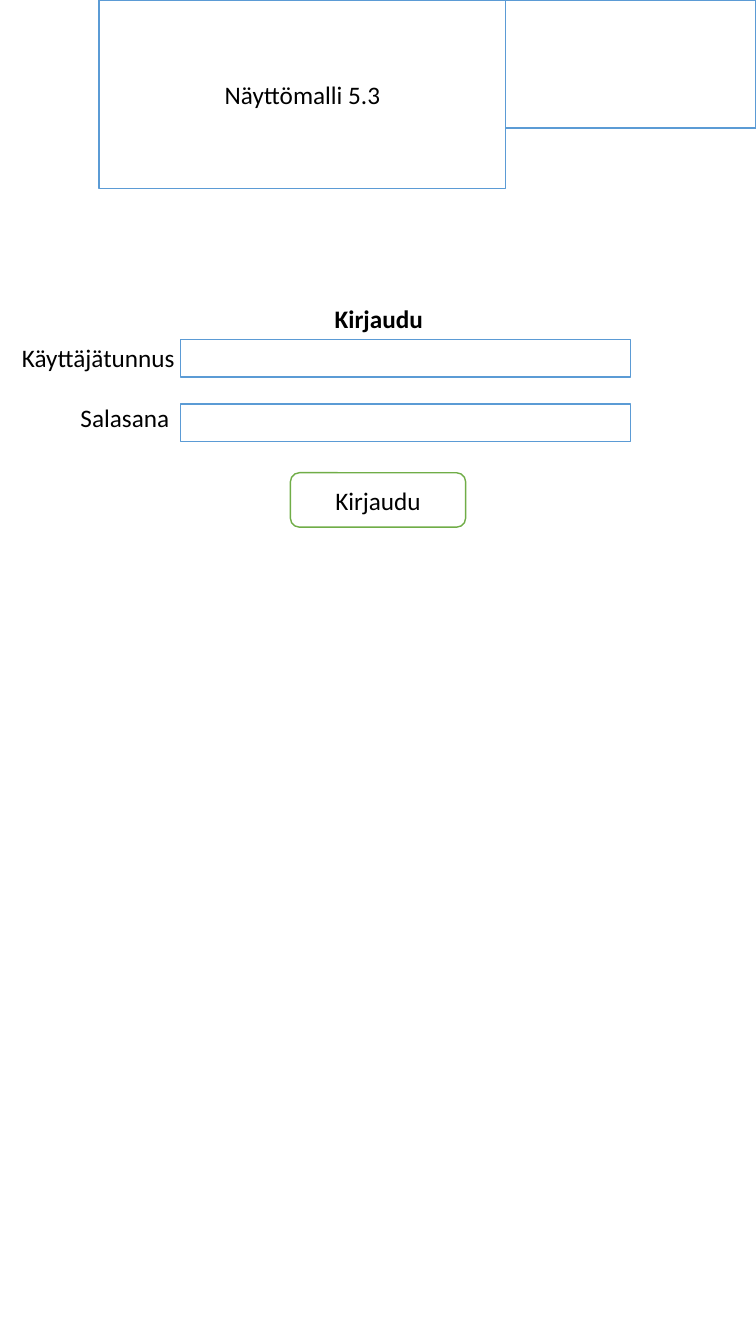
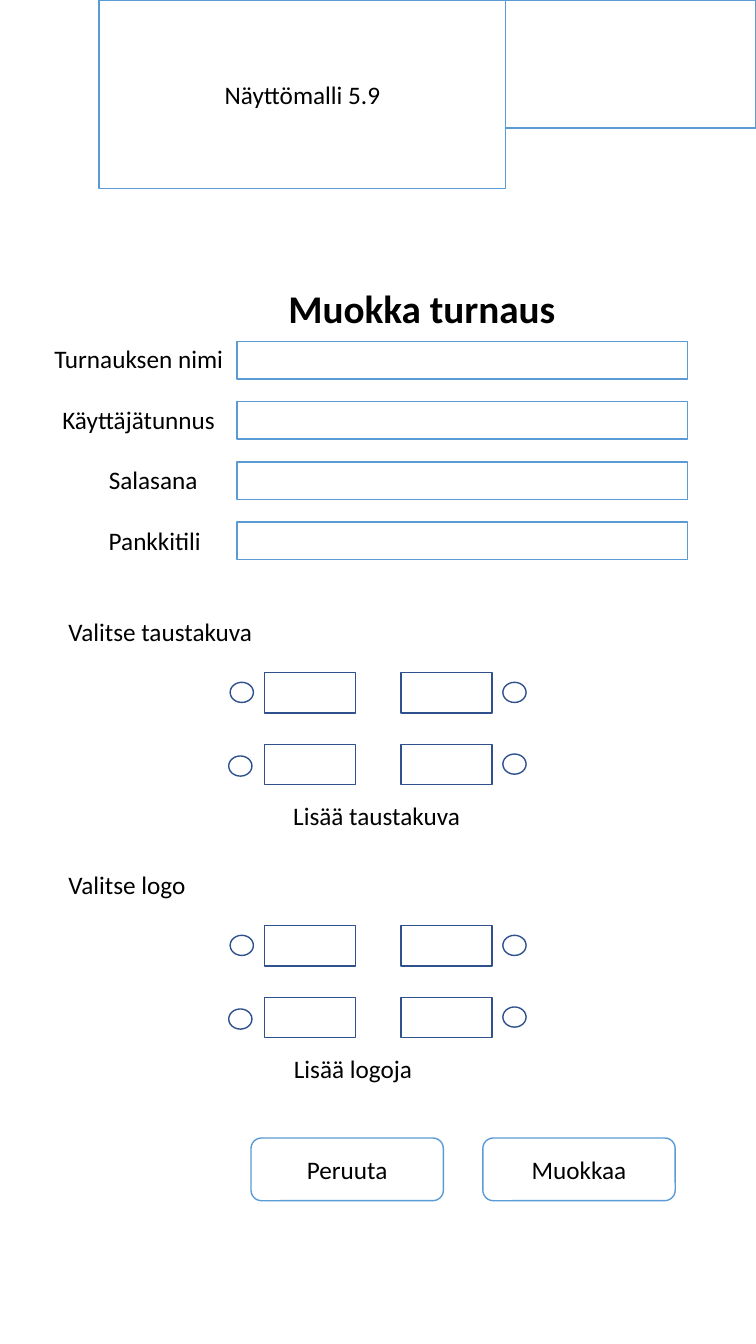
from typing import NamedTuple

from pptx import Presentation
from pptx import util as u
from pptx.dml.color import RGBColor
from pptx.enum import shapes, text
from pptx.shapes.autoshape import Shape
from pptx.slide import Slide

FONT = "Calibri"
TEXT_SIZE = 18
BLACK, WHITE = "000000", "FFFFFF"
BLUE, NAVY, GREEN = "5B9BD5", "2F528F", "70AD47"

RECTANGLE = shapes.MSO_SHAPE.RECTANGLE
ROUNDED = shapes.MSO_SHAPE.ROUNDED_RECTANGLE
OVAL = shapes.MSO_SHAPE.OVAL

PAGE_WIDTH, PAGE_HEIGHT = 540, 960
FIELD_WIDTH, FIELD_HEIGHT = 321.6, 26.8
LABEL_HEIGHT = 28.8
THUMB_WIDTH, THUMB_HEIGHT = 65, 29
THUMB_COLUMNS = (188.8, 286.4)
THUMB_PITCH = 51.4
RADIO_WIDTH, RADIO_HEIGHT = 16.6, 14.4


class Area(NamedTuple):
    left: float
    top: float
    width: float
    height: float


class Label(NamedTuple):
    wording: str
    left: float
    width: float


class Button(NamedTuple):
    wording: str
    area: Area
    line: str


class Picker(NamedTuple):
    heading: Label
    add_link: Label
    top: float


LOGIN_LABELS = (Label("Käyttäjätunnus", 8.6, 125.3), Label("Salasana", 50.4, 78.5))
EDIT_LABELS = (
    Label("Turnauksen nimi", 31.7, 137.5),
    Label("Käyttäjätunnus", 37.4, 126),
    Label("Salasana", 70.6, 78.5),
    Label("Pankkitili", 70.6, 89.3),
)
PICKERS = (
    Picker(Label("Valitse taustakuva", 41.8, 146.9), Label("Lisää taustakuva", 202.4, 134.6), 480.2),
    Picker(Label("Valitse logo", 41.8, 99.4), Label("Lisää logoja", 202.8, 100.1), 660.9),
)
# Radio buttons as (left, distance below the top of the picker)
RADIOS = ((164.4, 7.2), (163.4, 59.8), (359.2, 7.2), (359.2, 58.4))

LOGIN_BUTTON = Button("Kirjaudu", Area(207.4, 337.7, 125.2, 38.9), GREEN)
EDIT_BUTTONS = (
    Button("Peruuta", Area(179.3, 812.9, 137.4, 44.8), BLUE),
    Button("Muokkaa", Area(344.9, 812.9, 137.4, 44.8), BLUE),
)


def colour(value: str) -> RGBColor:
    return RGBColor.from_string(value)


def write(box: Shape, wording: str, align: text.PP_ALIGN, size: float = TEXT_SIZE, bold: bool = False) -> None:
    box.text_frame.text = wording
    para = box.text_frame.paragraphs[0]
    para.alignment = align
    for span in para.runs:
        span.font.name = FONT
        span.font.size = u.Pt(size)
        span.font.bold = bold
        span.font.color.rgb = colour(BLACK)


def add_outline(page: Slide, kind: shapes.MSO_SHAPE, area: Area, line: str, wording: str = "") -> None:
    box = page.shapes.add_shape(kind, *map(u.Pt, area))
    box.shadow.inherit = False
    box.fill.solid()
    box.fill.fore_color.rgb = colour(WHITE)
    box.line.color.rgb = colour(line)
    box.line.width = u.Pt(1)
    if wording:
        box.text_frame.vertical_anchor = text.MSO_ANCHOR.MIDDLE
        write(box, wording, text.PP_ALIGN.CENTER)


def add_label(page: Slide, label: Label, top: float) -> None:
    box = page.shapes.add_textbox(*map(u.Pt, (label.left, top, label.width, LABEL_HEIGHT)))
    box.text_frame.word_wrap = False
    write(box, label.wording, text.PP_ALIGN.LEFT)


def add_button(page: Slide, button: Button) -> None:
    add_outline(page, ROUNDED, button.area, button.line, button.wording)


def add_screen(deck: Presentation, number: str, title: str, area: Area, size: float) -> Slide:
    """Add a page with its title and the two header panels."""
    page = deck.slides.add_slide(deck.slide_layouts.get_by_name("Title Only"))
    box = page.shapes.title
    box.left, box.top, box.width, box.height = map(u.Pt, area)
    box.text_frame.word_wrap = False
    box.text_frame.auto_size = text.MSO_AUTO_SIZE.NONE
    box.text_frame.vertical_anchor = text.MSO_ANCHOR.TOP
    write(box, title, text.PP_ALIGN.LEFT, size, bold=True)
    add_outline(page, RECTANGLE, Area(361.2, 0, 178.8, 91.6), BLUE)
    add_outline(page, RECTANGLE, Area(70.8, 0, 290.4, 134.6), BLUE, f"Näyttömalli {number}")
    return page


def add_form(page: Slide, labels: tuple[Label, ...], field: tuple[float, float], field_pitch: float,
             label_top: float, label_pitch: float) -> None:
    """Add one input field per label; field is the left and top of the first."""
    left, top = field
    for row, label in enumerate(labels):
        add_outline(page, RECTANGLE, Area(left, top + row * field_pitch, FIELD_WIDTH, FIELD_HEIGHT), BLUE)
        add_label(page, label, label_top + row * label_pitch)


def add_picker(page: Slide, picker: Picker) -> None:
    add_label(page, picker.heading, picker.top - 43.2)
    for row in range(2):
        for left in THUMB_COLUMNS:
            area = Area(left, picker.top + row * THUMB_PITCH, THUMB_WIDTH, THUMB_HEIGHT)
            add_outline(page, RECTANGLE, area, NAVY)
    for left, drop in RADIOS:
        add_outline(page, OVAL, Area(left, picker.top + drop, RADIO_WIDTH, RADIO_HEIGHT), NAVY)
    add_label(page, picker.add_link, picker.top + 87.9)


def add_login_screen(deck: Presentation) -> None:
    page = add_screen(deck, "5.3", "Kirjaudu", Area(231.8, 213.1, 78.5, LABEL_HEIGHT), TEXT_SIZE)
    add_form(page, LOGIN_LABELS, (128.8, 242.5), 46.2, 241.2, 42.5)
    add_button(page, LOGIN_BUTTON)


def add_edit_screen(deck: Presentation) -> None:
    page = add_screen(deck, "5.9", "Muokka turnaus", Area(198.7, 199.4, 208.1, 41), 28)
    add_form(page, EDIT_LABELS, (169.3, 243.9), 43, 241.9, 43.2)
    for picker in PICKERS:
        add_picker(page, picker)
    for button in EDIT_BUTTONS:
        add_button(page, button)


def main() -> None:
    deck = Presentation()
    deck.slide_width, deck.slide_height = u.Pt(PAGE_WIDTH), u.Pt(PAGE_HEIGHT)
    add_login_screen(deck)
    add_edit_screen(deck)
    deck.save("out.pptx")


if __name__ == "__main__":
    main()
